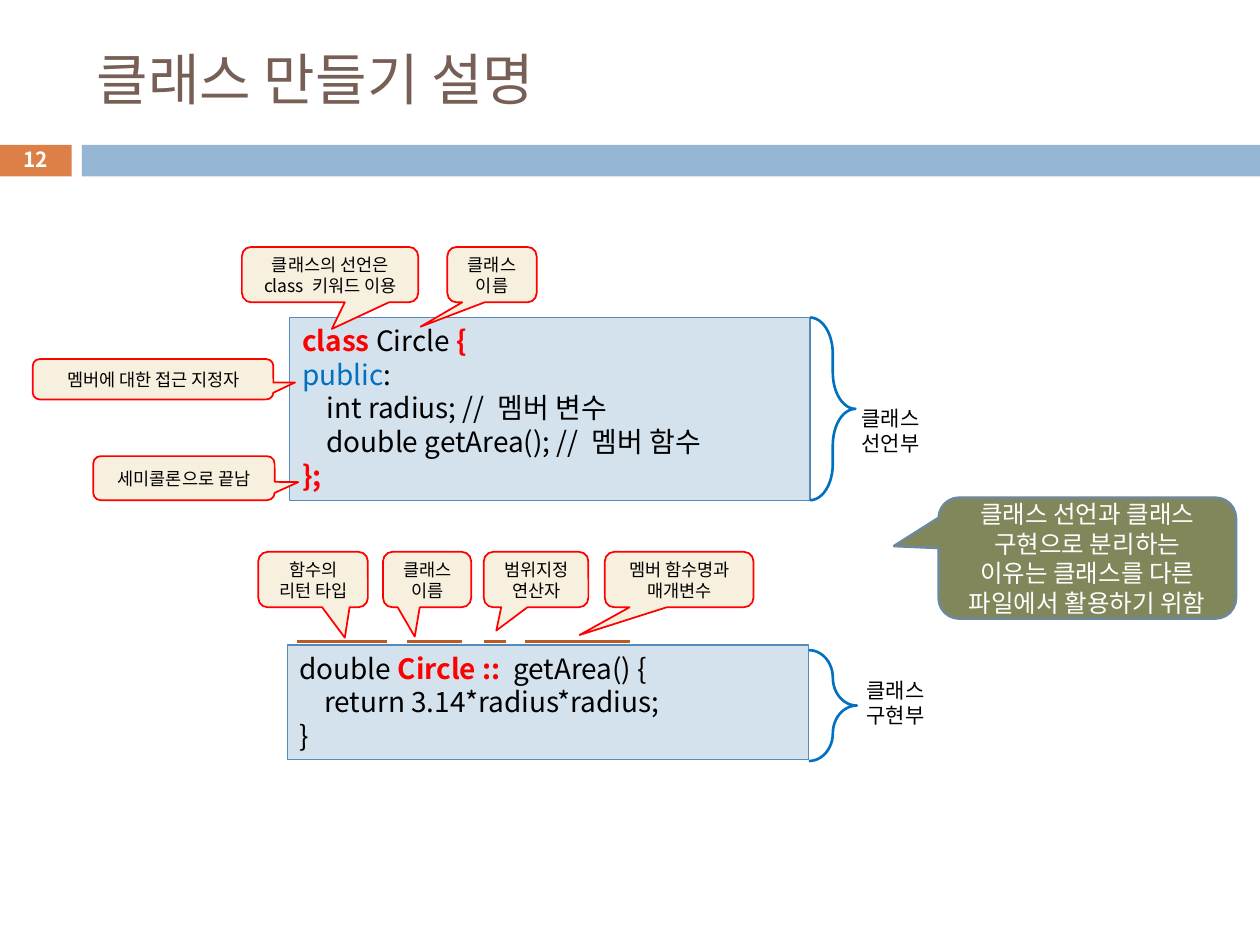
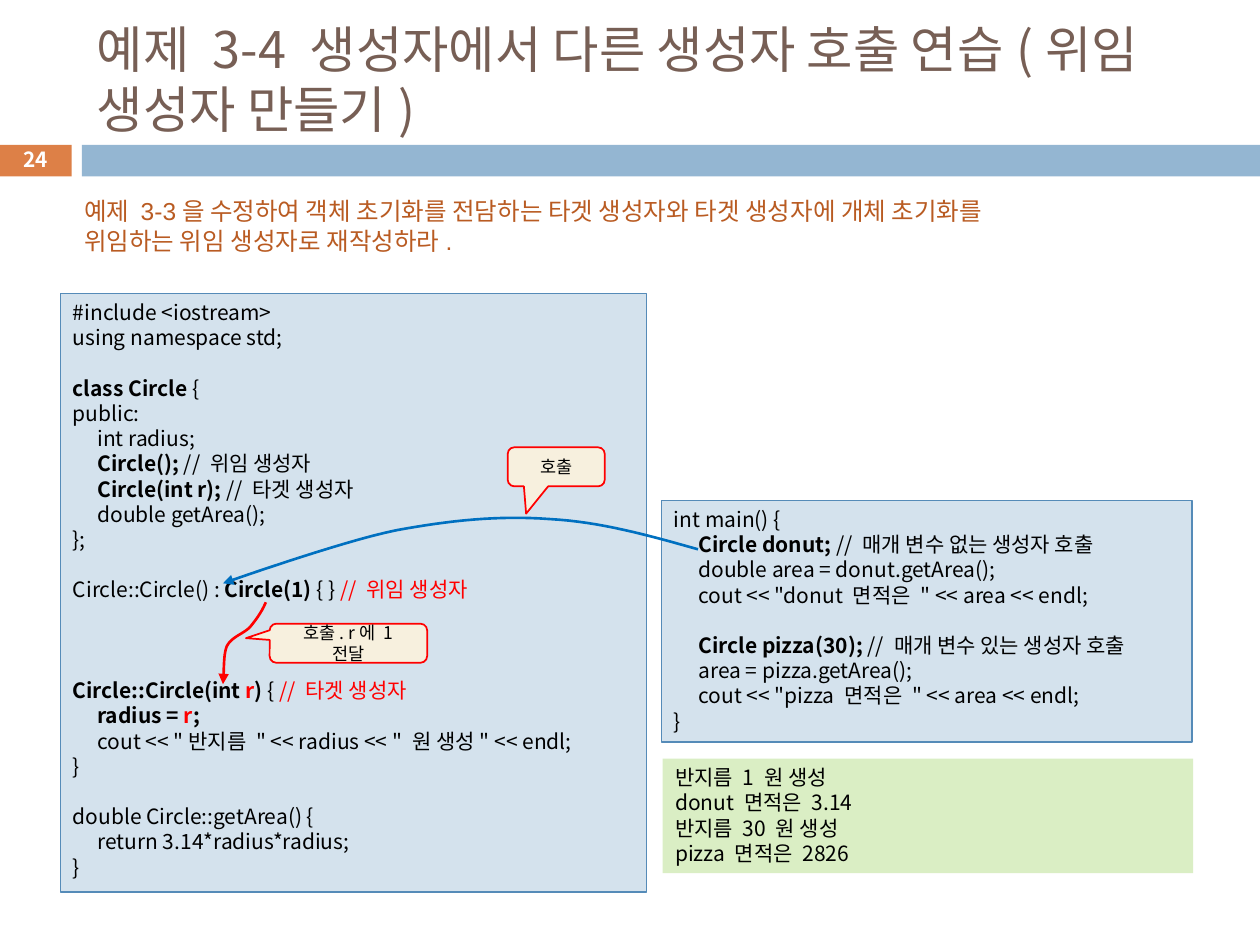
"""Build two slides on C++ classes: making a class and delegating constructors."""
import pptx
import pptx.util
import pptx.dml.color
import pptx.enum.shapes
import pptx.enum.text
import pptx.oxml.ns
import lxml.etree

RGB = pptx.dml.color.RGBColor
Pt = pptx.util.Pt
KIND = pptx.enum.shapes.MSO_SHAPE
ALIGN = pptx.enum.text.PP_ALIGN
MID = pptx.enum.text.MSO_ANCHOR.MIDDLE
qn = pptx.oxml.ns.qn

WIDE, HIGH = pptx.util.Inches(10), pptx.util.Inches(7.5)
COLS, ROWS = 100, 75
FONT = "Noto Sans CJK KR"
LEAD = 1.2
TAB = 1.95

BLACK = RGB(0, 0, 0)
WHITE = RGB(0xFF, 0xFF, 0xFF)
RED = RGB(0xFF, 0, 0)
BLUE = RGB(0, 0x70, 0xC0)
BROWN = RGB(0x77, 0x5F, 0x55)
RUST = RGB(0xB9, 0x5B, 0x22)
AMBER = RGB(0xDD, 0x80, 0x47)
BAND = RGB(0x94, 0xB6, 0xD2)
PALE = RGB(0xD4, 0xE2, 0xED)
EDGE = RGB(0x55, 0x8B, 0xB8)
CREAM = RGB(0xF7, 0xF0, 0xDE)
GREEN = RGB(0xDA, 0xEE, 0xC4)
OLIVE = RGB(0x81, 0x87, 0x5A)
SLATE = RGB(0x6D, 0x87, 0x9B)

STYLES = {"n": (BLACK, False), "b": (BLACK, True), "r": (RED, False),
          "rb": (RED, True), "u": (BLUE, False)}

DECLARE = [
    [("rb", "class "), ("n", "Circle "), ("rb", "{")],
    [("u", "public"), ("n", ":")],
    "\tint radius; // 멤버 변수",
    "\tdouble getArea(); // 멤버 함수",
    [("rb", "};")],
]
DEFINE = [
    [("n", "double "), ("rb", "Circle ::  "), ("n", "getArea() {")],
    "\treturn 3.14*radius*radius;",
    "}",
]
CIRCLE = [
    "#include <iostream>",
    "using namespace std;",
    "",
    [("b", "class Circle "), ("n", "{")],
    "public:",
    "\tint radius;",
    [("b", "\tCircle(); "), ("n", "// 위임 생성자")],
    [("b", "\tCircle(int r); "), ("n", "// 타겟 생성자")],
    "\tdouble getArea();",
    "};",
    "",
    [("n", "Circle::Circle() : "), ("b", "Circle(1) "), ("n", "{ } "),
     ("r", "// 위임 생성자")],
    "", "", "",
    [("b", "Circle::Circle(int "), ("rb", "r"), ("b", ") "), ("n", "{ "),
     ("r", "// 타겟 생성자")],
    [("b", "\tradius = "), ("rb", "r"), ("b", ";")],
    "\tcout << \"반지름 \" << radius << \" 원 생성\" << endl;",
    "}",
    "",
    "double Circle::getArea() {",
    "\treturn 3.14*radius*radius;",
    "}",
]
MAIN = [
    "int main() {",
    [("b", "\tCircle donut; "), ("n", "// 매개 변수 없는 생성자 호출")],
    "\tdouble area = donut.getArea();",
    "\tcout << \"donut 면적은 \" << area << endl;",
    "",
    [("b", "\tCircle pizza(30); "), ("n", "// 매개 변수 있는 생성자 호출")],
    "\tarea = pizza.getArea();",
    "\tcout << \"pizza 면적은 \" << area << endl;",
    "}",
]
OUTPUT = ["반지름 1 원 생성", "donut 면적은 3.14", "반지름 30 원 생성", "pizza 면적은 2826"]
TASK = ["예제 3-3을 수정하여 객체 초기화를 전담하는 타겟 생성자와 타겟 생성자에 "
        "개체 초기화를 위임하는 위임 생성자로 재작성하라."]
REASON = ["클래스 선언과 클래스", "구현으로 분리하는", "이유는 클래스를 다른", "파일에서 활용하기 위함"]

PAGES = [
    {"title": "클래스 만들기 설명", "size": 32, "page": "12",
     "code": [((22.8, 51.2, 41.4, 9.1), DEFINE, 16),
              ((23, 25.2, 41.3, 14.5), DECLARE, 16)],
     "rules": [(23.6, 30.7), (32.3, 36.7), (38.4, 40.2), (41.7, 50)],
     "braces": [((64.3, 25.2, 3.6, 14.5), 0.8), ((64.2, 51.6, 3.8, 8.8), 0.71)],
     "labels": [((67.4, 31.7, 7.1, 5), ["클래스", "선언부"]),
                ((67.8, 53.3, 7.1, 5), ["클래스", "구현부"])],
     "notes": [((20.5, 43.8, 8.7, 4.4), (0.29, 1.05), ["함수의", "리턴 타입"]),
               ((30.4, 43.8, 7, 4.4), (-0.14, 1.03), ["클래스", "이름"]),
               ((38.4, 43.8, 8.3, 4.4), (-0.38, 0.92), ["범위지정", "연산자"]),
               ((48, 43.8, 11.8, 4.4), (-0.67, 1), ["멤버 함수명과", "매개변수"]),
               ((19.2, 19.6, 14, 4.4), (0.01, 0.98),
                ["클래스의 선언은", "class 키워드 이용"]),
               ((35.5, 19.6, 7.1, 4.4), (-0.8, 0.94), ["클래스", "이름"]),
               ((2.6, 28.5, 19.1, 3.2), (0.59, 0.08), ["멤버에 대한 접근 지정자"]),
               ((7.4, 36.2, 14.4, 3.5), (0.63, 0.09), ["세미콜론으로 끝남"])],
     "reason": ((74.5, 39.5, 23.6, 9.6), (-0.65, -0.1), REASON)},
    {"title": "예제 3-4 생성자에서 다른 생성자 호출 연습(위임 생성자 만들기)",
     "size": 28.8, "page": "24",
     "task": (5.7, 15.1, 78, 5.7),
     "code": [((4.8, 23.3, 46.5, 47.5), CIRCLE, 12),
              ((52.5, 39.7, 42.1, 19.2), MAIN, 12)],
     "output": (52.6, 60.2, 42.1, 9.1),
     "notes": [((21.4, 49.5, 12.5, 3.1), (-0.65, -0.13), ["호출. r에 1", "전달"]),
               ((40.3, 35.5, 7.7, 3.1), (-0.31, 1.2), ["호출"])],
     "curves": [(BLUE, [(55.4, 43.6), (51.5, 42.5), (47.6, 41.4), (43.6, 41.2),
                        (39.6, 40.9), (35.7, 41.3), (31.4, 42.1),
                        (27, 43), (17.7, 46.3), (17.7, 46.3)]),
                (RED, [(21.1, 47.8), (20.8, 48.5), (20.4, 49.1), (19.9, 49.7),
                       (19.4, 50.3), (18.4, 50.5), (18, 51.3),
                       (17.7, 52), (17.8, 53.7), (17.7, 54.3)])]},
]


def at(x, y):
    return round(x * WIDE / COLS), round(y * HIGH / ROWS)


def write(shape, lines, size, color=None, align=ALIGN.LEFT, bold=False,
          mid=False, wrap=True, font=FONT):
    frame = shape.text_frame
    frame.word_wrap = wrap
    frame.vertical_anchor = MID if mid else pptx.enum.text.MSO_ANCHOR.TOP
    gap, first = 0, True
    for line in lines:
        if not line:
            gap += 1
            continue
        para = frame.paragraphs[0] if first else frame.add_paragraph()
        para.alignment = align
        para.line_spacing = Pt(size * LEAD)
        if gap:
            para.space_before = Pt(gap * size * LEAD)
        gap, first = 0, False
        props = para._p.get_or_add_pPr()
        tabs = lxml.etree.SubElement(props, qn("a:tabLst"))
        lxml.etree.SubElement(tabs, qn("a:tab"), pos=str(at(TAB, 0)[0]), algn="l")
        for style, text in [("n", line)] if isinstance(line, str) else line:
            run = para.add_run()
            run.text = text
            tone, heavy = STYLES[style]
            run.font.name = font
            run.font.size = Pt(size)
            run.font.bold = heavy or bold
            run.font.color.rgb = color or tone
            east = lxml.etree.SubElement(run._r.get_or_add_rPr(), qn("a:ea"))
            east.set("typeface", FONT)


def draw(slide, kind, box, fill=None, line=None, width=1.0, adj=()):
    shape = slide.shapes.add_shape(kind, *at(*box[:2]), *at(*box[2:]))
    paint(shape, fill, line, width)
    for i, value in enumerate(adj):
        shape.adjustments[i] = value
    return shape


def paint(shape, fill, line, width):
    shape.shadow.inherit = False
    if fill is None:
        shape.fill.background()
    else:
        shape.fill.solid()
        shape.fill.fore_color.rgb = fill
    if line is None:
        shape.line.fill.background()
    else:
        shape.line.color.rgb = line
        shape.line.width = Pt(width)


def label(slide, box, lines, size, **look):
    shape = slide.shapes.add_textbox(*at(*box[:2]), *at(*box[2:]))
    write(shape, lines, size, **look)


def note(slide, box, tip, lines, fill=CREAM, line=RED, width=1.0, size=10, color=BLACK):
    shape = draw(slide, KIND.ROUNDED_RECTANGULAR_CALLOUT, box, fill, line, width,
                 (*tip, 0.17))
    write(shape, lines, size, color, ALIGN.CENTER, mid=True, wrap=False)


def rule(slide, left, right, y=50.9):
    line = slide.shapes.add_connector(pptx.enum.shapes.MSO_CONNECTOR.STRAIGHT,
                                      *at(left, y), *at(right, y))
    line.line.color.rgb = RUST
    line.line.width = Pt(1.5)
    lxml.etree.SubElement(line._element.spPr, qn("a:effectLst"))


def bezier(knots, steps=16):
    for i in range(0, len(knots) - 1, 3):
        for k in range(1, steps + 1):
            t = k / steps
            parts = ((1 - t) ** 3, 3 * t * (1 - t) ** 2, 3 * t * t * (1 - t), t ** 3)
            yield at(*(sum(w * p[axis] for w, p in zip(parts, knots[i:i + 4]))
                       for axis in (0, 1)))


def curve(slide, color, knots):
    path = slide.shapes.build_freeform(*at(*knots[0]))
    path.add_line_segments(list(bezier(knots)), close=False)
    shape = path.convert_to_shape()
    paint(shape, None, color, 1.5)
    lxml.etree.SubElement(shape.line._get_or_add_ln(), qn("a:tailEnd"), type="triangle")


def base(deck, page):
    slide = deck.slides.add_slide(deck.slide_layouts[6])
    draw(slide, KIND.RECTANGLE, (0, 11.5, 5.7, 2.5), AMBER)
    draw(slide, KIND.RECTANGLE, (6.5, 11.5, 93.5, 2.5), BAND)
    label(slide, (6.7, 2.5, 89.2, 7.4), [page["title"]], page["size"],
          color=BROWN, mid=True)
    label(slide, (0, 11.3, 5.7, 2.7), [page["page"]], 11.9, color=WHITE,
          align=ALIGN.CENTER, bold=True, mid=True)
    return slide


def build(deck, page):
    slide = base(deck, page)
    if "task" in page:
        label(slide, page["task"], TASK, 14, color=RUST, font="Arial")
    for box, lines, size in page["code"]:
        write(draw(slide, KIND.RECTANGLE, box, PALE, EDGE, 0.75), lines, size)
    if "output" in page:
        write(draw(slide, KIND.RECTANGLE, page["output"], GREEN), OUTPUT, 12)
    for ends in page.get("rules", []):
        rule(slide, *ends)
    for box, curl in page.get("braces", []):
        draw(slide, KIND.RIGHT_BRACE, box, None, BLUE, 1.5, (curl, 0.5))
    for box, lines in page.get("labels", []):
        label(slide, box, lines, 12)
    for box, tip, lines in page["notes"]:
        note(slide, box, tip, lines)
    if "reason" in page:
        note(slide, *page["reason"], OLIVE, SLATE, 1.5, 14, WHITE)
    for color, knots in page.get("curves", []):
        curve(slide, color, knots)


def main():
    deck = pptx.Presentation()
    deck.slide_width, deck.slide_height = WIDE, HIGH
    for page in PAGES:
        build(deck, page)
    deck.save("out.pptx")


if __name__ == "__main__":
    main()
